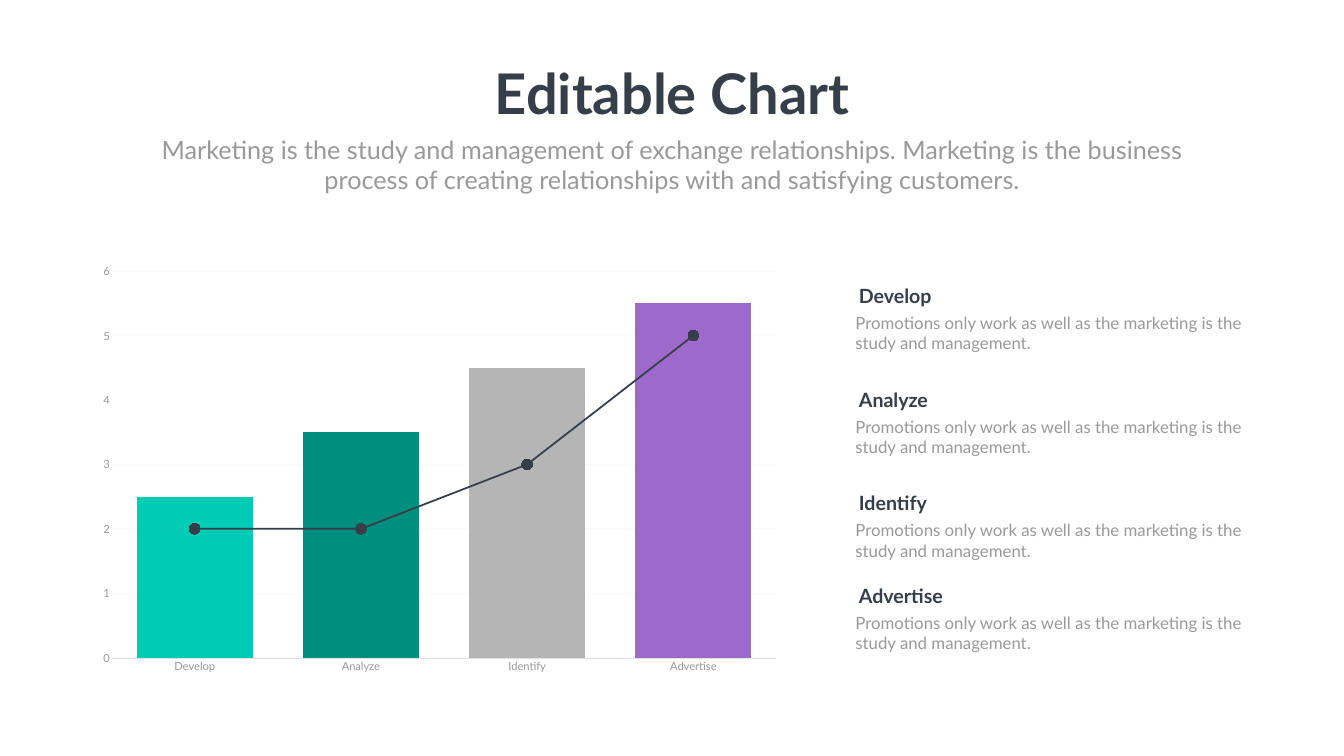
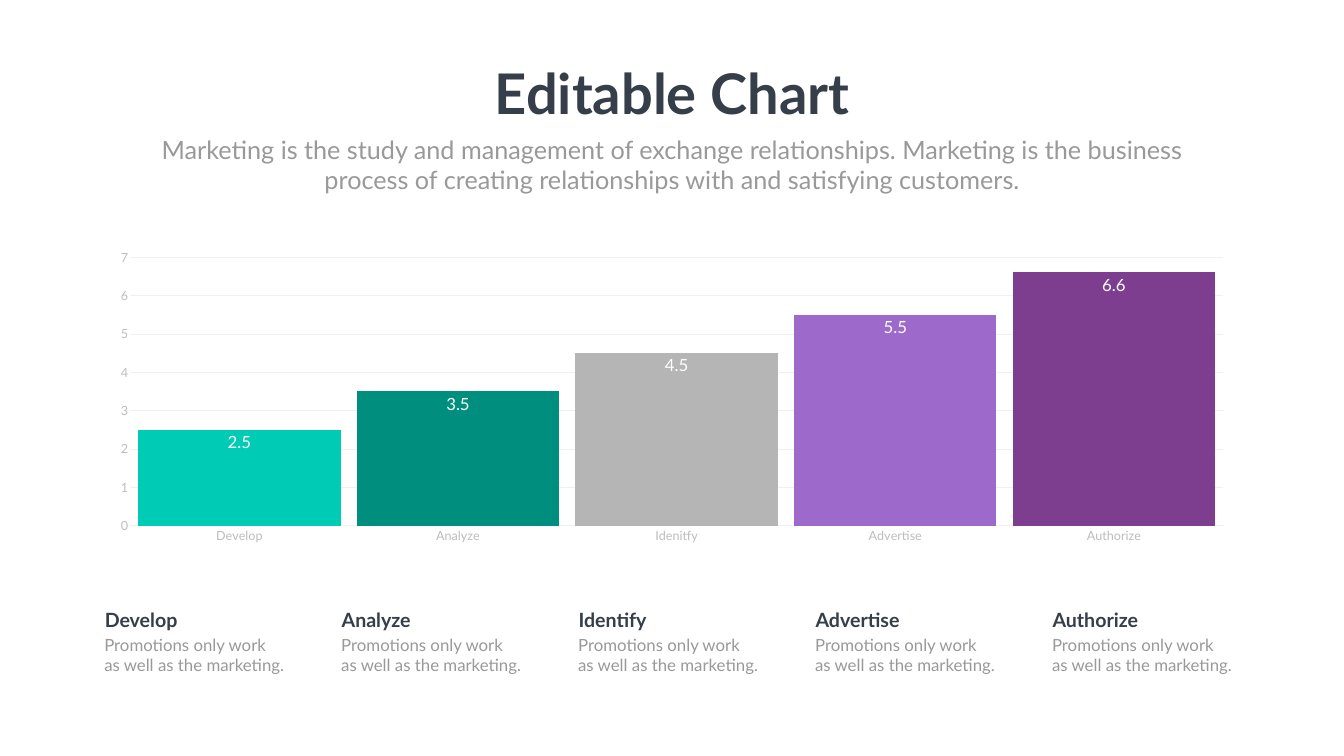
"""Build two slides with column charts and short notes."""
from pptx import Presentation
from pptx.chart.data import CategoryChartData
from pptx.dml.color import RGBColor
from pptx.enum import chart as ch, text as tx
from pptx.oxml import parse_xml
from pptx.oxml.ns import nsdecls
from pptx.util import Inches, Pt

FONT = "Lato"
DARK = RGBColor(0x35, 0x3E, 0x49)
GRAY = RGBColor(0x98, 0x99, 0x98)
PALE = RGBColor(0xBC, 0xBD, 0xBC)
WHITE = RGBColor(0xFF, 0xFF, 0xFF)
RULE = RGBColor(0xF0, 0xF0, 0xF0)
BASE = RGBColor(0xDE, 0xE2, 0xE7)
GRID = RGBColor(0x80, 0x80, 0x80)
TEAL = RGBColor(0x00, 0xCB, 0xB4)
GREEN = RGBColor(0x00, 0x8E, 0x7F)
SILVER = RGBColor(0xB5, 0xB5, 0xB5)
LILAC = RGBColor(0x9D, 0x6A, 0xCC)
PLUM = RGBColor(0x7E, 0x3E, 0x90)
BARS = [TEAL, GREEN, SILVER, LILAC, PLUM]

HEAD = "Editable Chart"
LEAD = ("Marketing is the study and management of exchange relationships. "
        "Marketing is the business process of creating relationships with "
        "and satisfying customers.")
STEPS = ["Develop", "Analyze", "Identify", "Advertise", "Authorize"]
LONG = "Promotions only work as well as the marketing is the study and management."
SHORT = "Promotions only work\nas well as the marketing."


class Deck:
    """Hold the style and the current slide."""

    def __init__(self):
        """Start an empty wide deck."""
        self.prs = Presentation()
        self.prs.slide_width = Inches(26.66)
        self.prs.slide_height = Inches(15)
        self.slide = None

    def page(self):
        """Add a slide with its title and lead text."""
        self.slide = self.prs.slides.add_slide(self.prs.slide_layouts[5])
        title = self.slide.shapes.title
        title.left, title.top, title.width, title.height = map(
            Inches, (9.65, 1.12, 7.37, 1.45))
        self.label(title, HEAD, 80, DARK, True, tx.PP_ALIGN.CENTER)
        title.text_frame.word_wrap = False
        self.text((2.92, 2.61, 20.82, 1.31), LEAD, 36, GRAY,
                  align=tx.PP_ALIGN.CENTER)

    def font(self, font, size, color, bold=False):
        """Set the face, size and colour of a font."""
        font.name, font.size, font.bold = FONT, Pt(size), bold
        font.color.rgb = color

    def label(self, shape, words, size, color, bold, align):
        """Fill a shape with text in one style."""
        frame = shape.text_frame
        frame.text = words
        frame.word_wrap = True
        frame.auto_size = tx.MSO_AUTO_SIZE.SHAPE_TO_FIT_TEXT
        frame.vertical_anchor = tx.MSO_ANCHOR.TOP
        for para in frame.paragraphs:
            para.alignment = align
            self.font(para.font, size, color, bold)

    def text(self, box, words, size, color, bold=False,
             align=tx.PP_ALIGN.LEFT):
        """Add a text box."""
        shape = self.slide.shapes.add_textbox(*map(Inches, box))
        self.label(shape, words, size, color, bold, align)

    def note(self, left, top, name, words, shift, drop, width):
        """Add a heading with a short text below it."""
        self.text((left, top, 2.2, 0.57), name, 28, DARK, True)
        self.text((left - shift, top + drop, width, 0.91), words, 24, GRAY)

    def chart(self, box, cats, rows, gap, lap, size, color, top):
        """Add a column chart with one colour per column."""
        data = CategoryChartData()
        data.categories = cats
        for num, row in enumerate(rows, 1):
            data.add_series(f"Series {num}", row)
        chart = self.slide.shapes.add_chart(
            ch.XL_CHART_TYPE.COLUMN_CLUSTERED, *map(Inches, box), data).chart
        chart.has_legend = chart.has_title = False
        self.font(chart.font, size, GRAY)
        for axis in (chart.category_axis, chart.value_axis):
            axis.major_tick_mark = axis.minor_tick_mark = ch.XL_TICK_MARK.NONE
            self.font(axis.tick_labels.font, size, color)
        axis.minimum_scale, axis.maximum_scale, axis.major_unit = 0, top, 1
        axis.format.line.fill.background()
        plot = chart.plots[0]
        plot.gap_width, plot.overlap = gap, lap
        plot.vary_by_categories = False
        for series, fill in zip(plot.series, BARS):
            self.paint(series, fill)
        for spot, fill in enumerate(BARS[:len(cats)]):
            self.paint(plot.series[0].points[spot], fill)
        return chart

    def paint(self, part, color):
        """Fill a part of a chart with a colour."""
        part.format.fill.solid()
        part.format.fill.fore_color.rgb = color

    def rule(self, line, color, width):
        """Style a line of a chart."""
        line.color.rgb = color
        line.width = Pt(width)

    def trend(self, chart):
        """Turn the last column series into a line with markers."""
        bar = chart.plots[0]
        ser = bar.series[len(bar.series) - 1]._element
        for flag in ser.xpath("c:invertIfNegative | c:spPr"):
            ser.remove(flag)
        axes = "".join(f'<c:axId val="{num}"/>'
                       for num in bar._element.xpath("c:axId/@val"))
        group = parse_xml(
            f'<c:lineChart {nsdecls("c")}><c:grouping val="standard"/>'
            f'<c:varyColors val="0"/><c:marker val="1"/>{axes}</c:lineChart>')
        bar._element.addnext(group)
        group.insert(2, ser)
        line = chart.plots[1].series[0]
        line.smooth = False
        self.rule(line.format.line, DARK, 2.5)
        line.marker.style = ch.XL_MARKER_STYLE.CIRCLE
        line.marker.size = 15
        self.paint(line.marker, DARK)
        line.marker.format.line.color.rgb = DARK


def mixed(deck):
    """Draw the slide with columns and a line."""
    deck.page()
    rows = [(2.5, 3.5, 4.5, 5.5), (None,) * 4, (2, 2, 3, 5)]
    chart = deck.chart((1.77, 5.08, 13.91, 8.44), STEPS[:4], rows,
                       43, 100, 16, GRAY, 6)
    deck.trend(chart)
    deck.rule(chart.category_axis.format.line, BASE, 0.75)
    axis = chart.value_axis
    deck.rule(axis.major_gridlines.format.line, GRID, 0.5)
    for color in axis._element.xpath("c:majorGridlines//a:srgbClr"):
        color.append(parse_xml(f'<a:alpha {nsdecls("a")} val="10000"/>'))
    for name, top in zip(STEPS, (5.59, 7.64, 9.7, 11.53)):
        deck.note(16.94, top, name, LONG, 0.07, 0.57, 8.02)


def plain(deck):
    """Draw the slide with labelled columns."""
    deck.page()
    cats = ["Develop", "Analyze", "Idenitfy", "Advertise", "Authorize"]
    chart = deck.chart((1.94, 4.83, 22.78, 6.06), cats,
                       [(2.5, 3.5, 4.5, 5.5, 6.6)], 8, -27, 18, PALE, 7)
    deck.rule(chart.category_axis.format.line, RULE, 0.75)
    deck.rule(chart.value_axis.major_gridlines.format.line, RULE, 0.75)
    labels = chart.plots[0].series[0].data_labels
    labels.show_value = True
    labels.position = ch.XL_LABEL_POSITION.INSIDE_END
    deck.font(labels.font, 24, WHITE)
    for col, name in enumerate(STEPS):
        deck.note(1.98 + 4.7 * col, 12.01, name, SHORT, 0.01, 0.53, 3.9)


def main():
    """Build and save the deck."""
    deck = Deck()
    mixed(deck)
    plain(deck)
    deck.prs.save("out.pptx")


if __name__ == "__main__":
    main()
